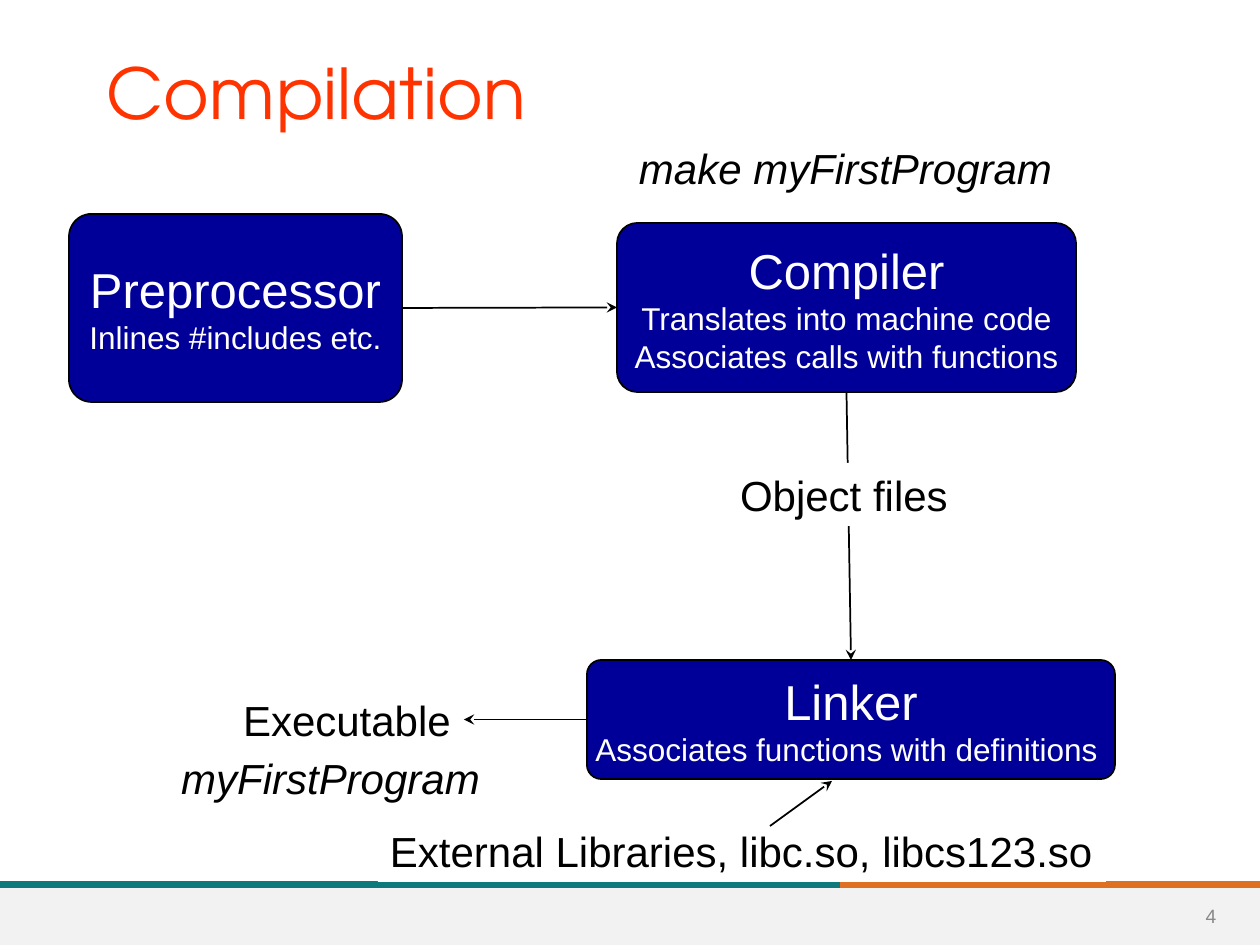
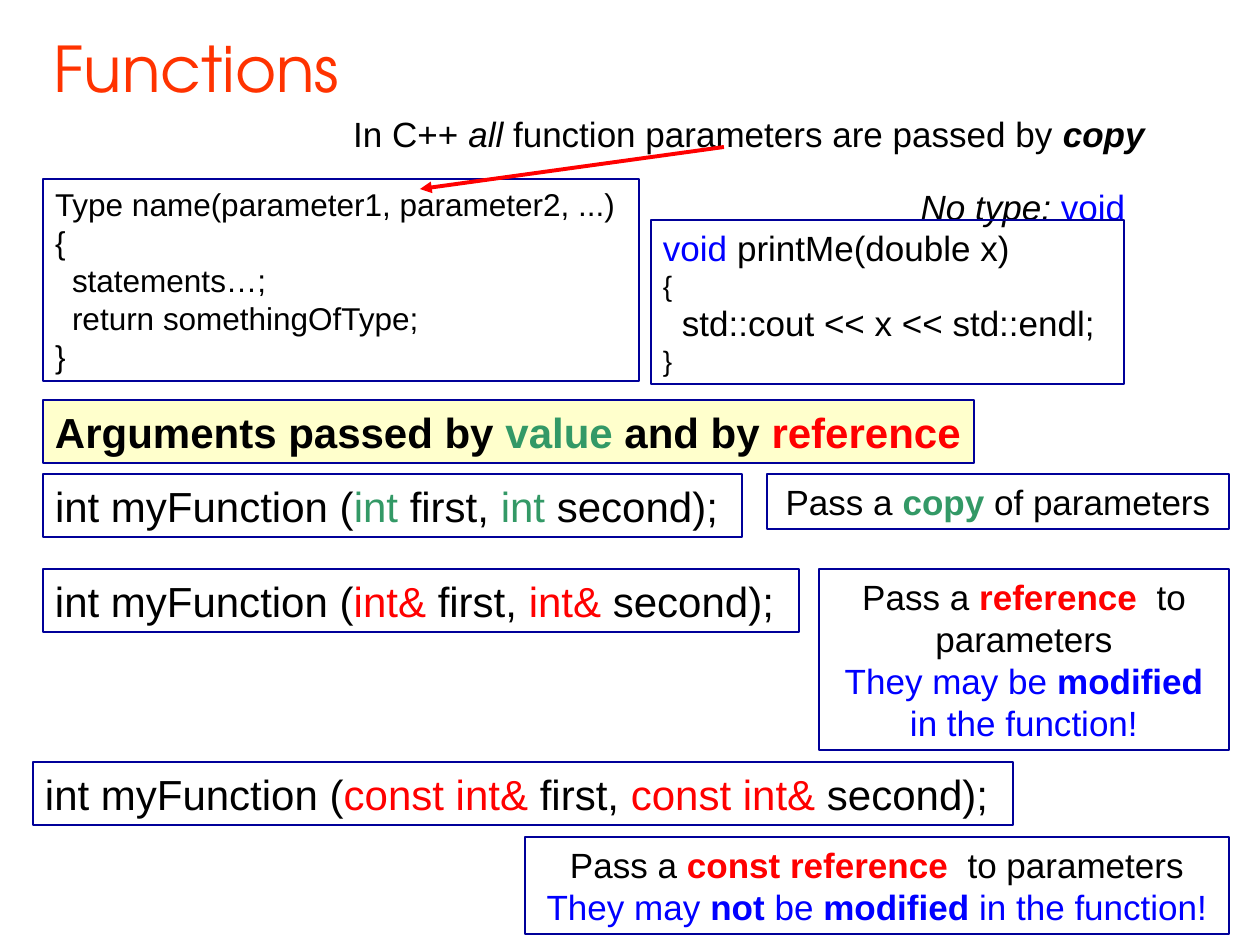
from dataclasses import dataclass

from lxml.etree import SubElement
from pptx import Presentation
from pptx.dml.color import RGBColor
from pptx.enum.shapes import MSO_CONNECTOR, MSO_SHAPE
from pptx.enum.text import MSO_ANCHOR, PP_ALIGN
from pptx.oxml.ns import qn
from pptx.util import Emu, Pt

PX_PER_INCH = 126
SLIDE = (1260, 945)
BODY_FONT, TITLE_FONT = "Arial", "TeX Gyre Adventor"
COLOURS = {
    "title": "FF3300", "black": "000000", "white": "FFFFFF", "navy": "000099",
    "cream": "FFFFCC", "green": "339966", "red": "FF0000", "blue": "0000FF",
    "teal": "0F787D", "orange": "DF7023", "band": "F2F2F2", "number": "898989",
}
TOP, LEFT, BOTTOM, RIGHT = range(4)


@dataclass
class Line:
    """One paragraph; runs are strings or (text, "colour bold italic") pairs."""
    runs: list
    size: int = 24
    indent: int = 0


def px(length):
    return Emu(round(length * 914400 / PX_PER_INCH))


def rgb(name):
    return RGBColor.from_string(COLOURS[name])


def write(shape, lines, colour="black", font=BODY_FONT, align=PP_ALIGN.LEFT,
          wrap=True, inset=(12, 6)):
    frame = shape.text_frame
    frame.word_wrap = wrap
    frame.vertical_anchor = MSO_ANCHOR.MIDDLE
    frame.margin_left = frame.margin_right = px(inset[0])
    frame.margin_top = frame.margin_bottom = px(inset[1])
    for number, line in enumerate(lines):
        paragraph = frame.paragraphs[0] if number == 0 else frame.add_paragraph()
        paragraph.alignment = align
        paragraph.font.name = font
        paragraph.font.size = Pt(line.size)
        paragraph.font.color.rgb = rgb(colour)
        if line.indent:
            paragraph._p.get_or_add_pPr().set("marL", str(px(line.indent)))
        for part in line.runs:
            text, style = (part, "") if isinstance(part, str) else part
            run = paragraph.add_run()
            run.text = text
            for word in style.split():
                if word in COLOURS:
                    run.font.color.rgb = rgb(word)
                else:
                    setattr(run.font, word, True)


def add_label(slide, box, lines, **style):
    label = slide.shapes.add_textbox(*map(px, box))
    write(label, lines, **style)
    return label


def add_panel(slide, box, fill=None, outline=None, kind=MSO_SHAPE.RECTANGLE):
    panel = slide.shapes.add_shape(kind, *map(px, box))
    panel.shadow.inherit = False
    if fill:
        panel.fill.solid()
        panel.fill.fore_color.rgb = rgb(fill)
    else:
        panel.fill.background()
    if outline:
        panel.line.color.rgb = rgb(outline)
        panel.line.width = Pt(1)
    else:
        panel.line.fill.background()
    return panel


def add_line(slide, start, end, colour="black", width=1, head=None):
    line = slide.shapes.add_connector(MSO_CONNECTOR.STRAIGHT, *map(px, start + end))
    line.line.color.rgb = rgb(colour)
    line.line.width = Pt(width)
    if head:
        SubElement(line.line._get_or_add_ln(), qn("a:tailEnd"), type=head)
    SubElement(line._element.spPr, qn("a:effectLst"))
    return line


def join(slide, source, source_side, target, target_side):
    arrow = add_line(slide, (0, 0), (0, 0), head="stealth")
    arrow.begin_connect(source, source_side)
    arrow.end_connect(target, target_side)


def add_title(slide, box, text, size):
    add_label(slide, box, [Line([text], size)], colour="title", font=TITLE_FONT)


def add_footer(slide, number):
    width, height = SLIDE
    rule_y, split = 885, 840
    add_line(slide, (split, rule_y), (width, rule_y), "orange", 4)
    add_line(slide, (0, rule_y), (split, rule_y), "teal", 4)
    add_panel(slide, (0, rule_y + 3, width, height - rule_y - 3), "band")
    add_label(slide, (width - 82, rule_y + 6, 66, 50), [Line([number], 11)],
              colour="number", align=PP_ALIGN.CENTER)


def add_stage(slide, box, name, *tasks):
    stage = add_panel(slide, box, "navy", "black", MSO_SHAPE.ROUNDED_RECTANGLE)
    stage.adjustments[0] = 0.12
    write(stage, [Line([name], 28)] + [Line([task], 18) for task in tasks],
          colour="white", align=PP_ALIGN.CENTER, wrap=False, inset=(0, 0))
    return stage


def add_product(slide, box, text):
    """White label for what goes into or comes out of a stage."""
    product = add_panel(slide, box, "white")
    write(product, [Line([text])], wrap=False)
    return product


def add_code(slide, box, lines, fill=None, wrap=False):
    write(add_panel(slide, box, fill, "navy"), lines, wrap=wrap)


def add_remark(slide, box, *lines):
    write(add_panel(slide, box, outline="navy"), [Line(runs, 20) for runs in lines],
          align=PP_ALIGN.CENTER)


def build_compilation(slide):
    add_footer(slide, "4")
    add_title(slide, (95, 47, 1071, 90), "Compilation", 40)

    preprocessor = add_stage(slide, (69, 214, 333, 188),
                             "Preprocessor", "Inlines #includes etc.")
    compiler = add_stage(slide, (617, 223, 459, 169), "Compiler",
                         "Translates into machine code",
                         "Associates calls with functions")
    linker = add_stage(slide, (587, 660, 528, 119),
                       "Linker", "Associates functions with definitions ")
    join(slide, preprocessor, RIGHT, compiler, LEFT)
    join(slide, compiler, BOTTOM, linker, TOP)

    add_product(slide, (728, 463, 233, 63), "Object files")
    executable = add_product(slide, (231, 688, 233, 63), "Executable")
    join(slide, linker, LEFT, executable, RIGHT)
    add_product(slide, (378, 819, 728, 63), "External Libraries, libc.so, libcs123.so")
    add_line(slide, (770, 826), (832, 781), head="stealth")

    for left, top, command in ((620, 136, "make myFirstProgram"),
                               (105, 746, "myFirstProgram")):
        add_label(slide, (left, top, 451, 63), [Line([(command, "italic")])],
                  align=PP_ALIGN.CENTER)


def signature(kind, colour):
    """Declaration of myFunction with both parameters of the given kind."""
    return [Line(["int myFunction (", (kind, colour), " first, ",
                  (kind, colour), " second);"])]


def add_syntax(slide, left, top):
    add_code(slide, (left, top, 596, 202), [
        Line(["Type name(parameter1, parameter2, ...)"], 18),
        Line(["{"], 18),
        Line(["statements…;"], 18, indent=17),
        Line(["return somethingOfType;"], 18, indent=17),
        Line(["}"], 18),
    ])
    add_label(slide, (left + 849, top, 262, 56),
              [Line([("No type: ", "italic"), ("void", "blue")], 20)],
              align=PP_ALIGN.CENTER)
    add_code(slide, (left + 608, top + 41, 473, 164), [
        Line([("void", "blue"), " printMe(double x)"], 20),
        Line(["{"], 16),
        Line(["std::cout << x << std::endl;"], 20, indent=19),
        Line(["}"], 16),
    ], wrap=True)


def add_passing(slide, left, top):
    """Heading and the three ways to pass arguments, each with its remark."""
    add_code(slide, (left, top, 931, 63), [
        Line([("Arguments passed by ", "bold"), ("value", "green bold"),
              (" and by ", "bold"), ("reference", "red bold")]),
    ], fill="cream")
    for dx, dy, width, kind, colour in ((0, 74, 699, "int", "green"),
                                        (0, 169, 756, "int&", "red"),
                                        (-10, 362, 980, "const int&", "red")):
        add_code(slide, (left + dx, top + dy, width, 63), signature(kind, colour))

    add_remark(slide, (left + 724, top + 74, 462, 55),
               ["Pass a ", ("copy ", "green bold"), "of parameters"])
    add_remark(slide, (left + 776, top + 169, 410, 181),
               ["Pass a ", ("reference ", "red bold"), " to parameters"],
               [("They may be ", "blue"), ("modified", "blue bold"),
                (" in the function!", "blue")])
    add_remark(slide, (left + 482, top + 437, 704, 97),
               ["Pass a ", ("const reference ", "red bold"), " to parameters"],
               [("They may ", "blue"), ("not", "blue bold"), (" be ", "blue"),
                ("modified", "blue bold"), (" in the function!", "blue")])


def build_functions(slide):
    add_title(slide, (42, 22, 368, 90), "Functions", 36)
    add_syntax(slide, 43, 179)
    add_passing(slide, 43, 400)
    add_label(slide, (341, 105, 816, 56), [
        Line(["In C++ ", ("all", "italic"), " function parameters are passed by ",
              ("copy", "bold italic")], 20),
    ], align=PP_ALIGN.CENTER, wrap=False)
    add_line(slide, (724, 147), (420, 189), "red", 2.25, "triangle")


def main():
    deck = Presentation()
    deck.slide_width, deck.slide_height = map(px, SLIDE)
    blank = deck.slide_layouts[6]
    for build in (build_compilation, build_functions):
        build(deck.slides.add_slide(blank))
    deck.save("out.pptx")


if __name__ == "__main__":
    main()
